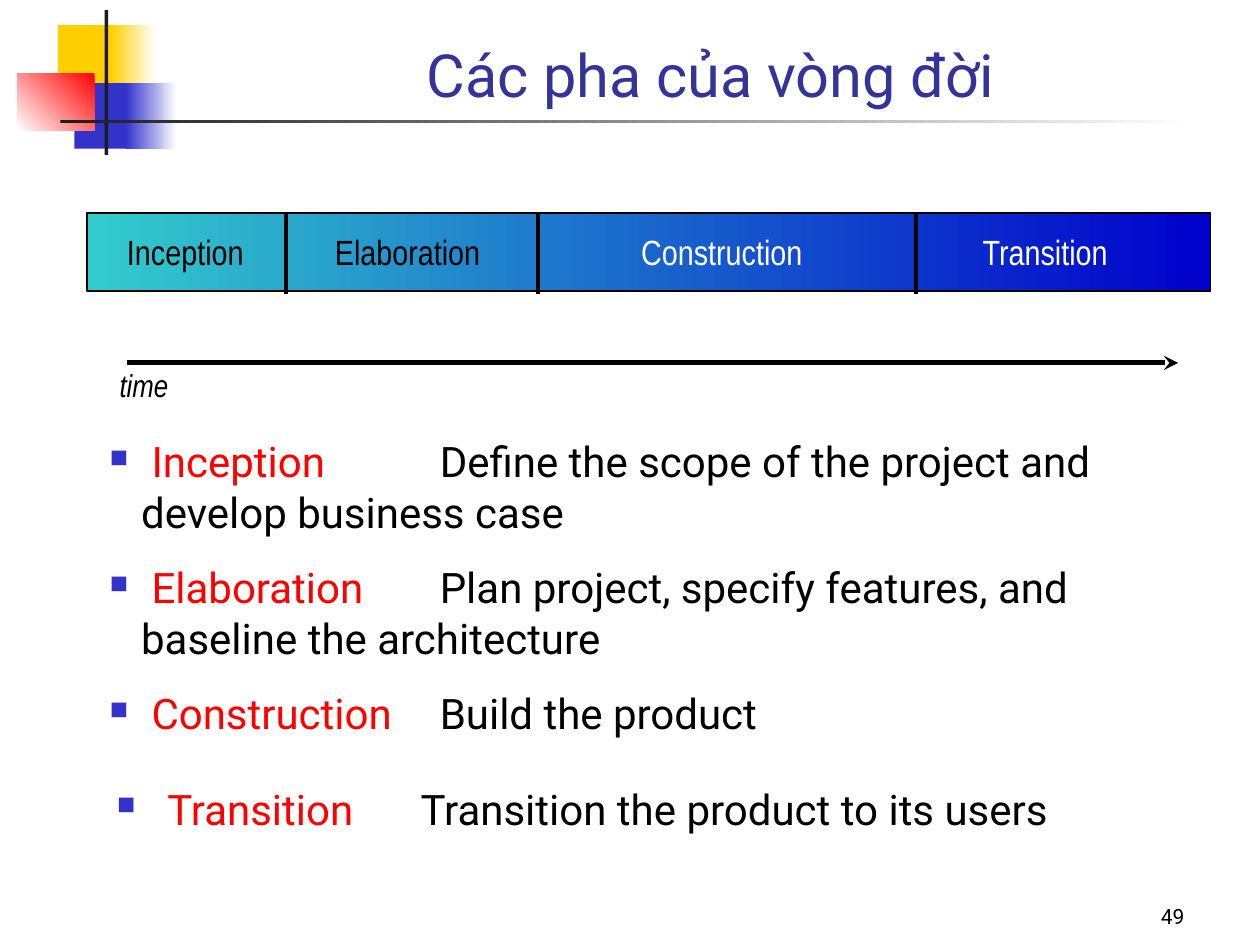
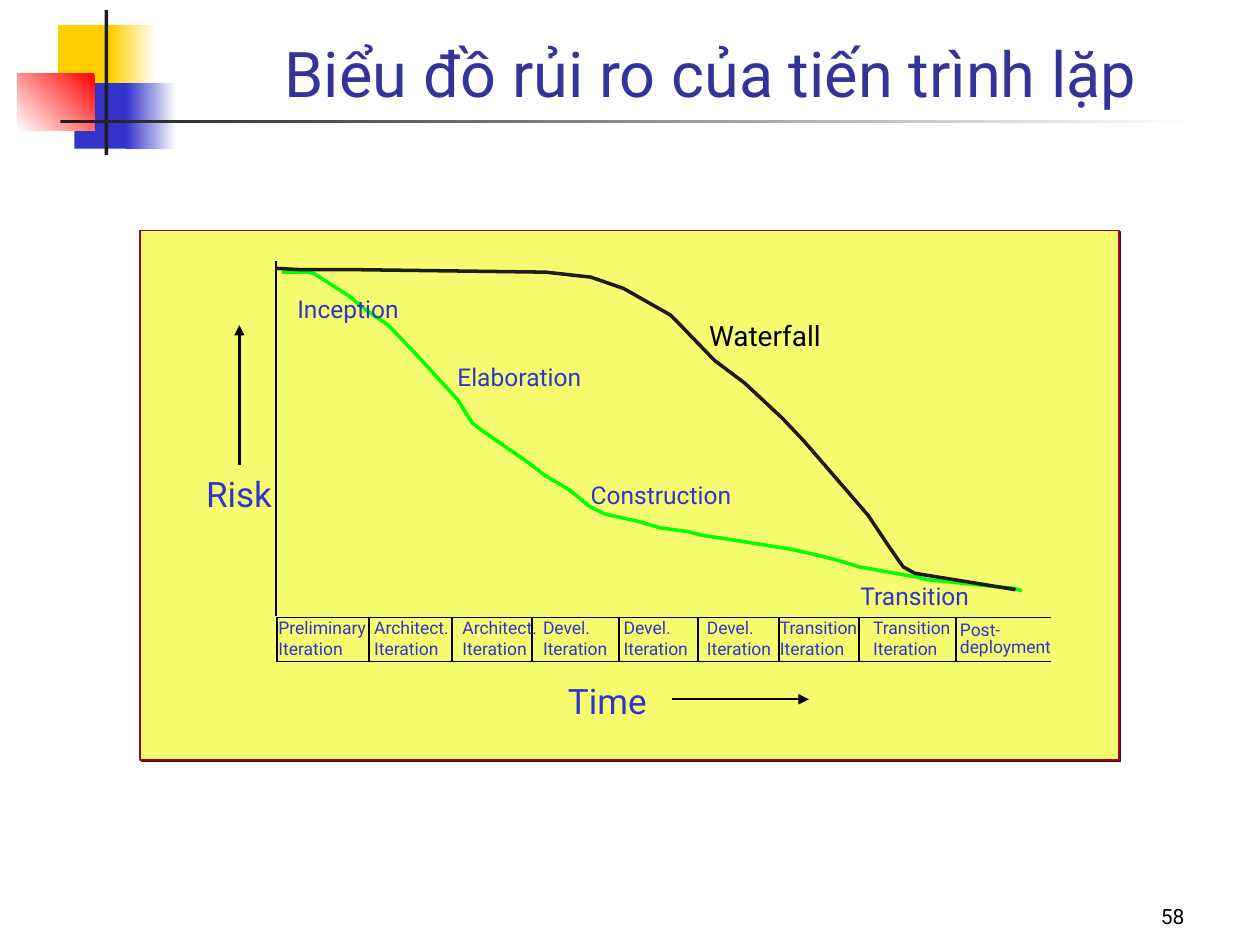
from lxml.etree import SubElement
from pptx import Presentation
from pptx.dml.color import RGBColor
from pptx.enum.shapes import MSO_CONNECTOR, MSO_SHAPE
from pptx.enum.text import MSO_ANCHOR, MSO_AUTO_SIZE, PP_ALIGN
from pptx.oxml.ns import qn
from pptx.util import Inches, Pt

BODY_FONT = "Roboto"
BAR_FONT = "Arial Narrow"
BLACK = "000000"
WHITE = "FFFFFF"
CHARCOAL = "1C1C1C"
BLUE = "3333CC"
TITLE_BLUE = "333399"
RED = "FF0000"
YELLOW = "FFCF01"
GREEN = "00FF00"

PHASES = [  # name, right edge in the bar, label left, label width, label colour
    ("Inception", 1.58, 0.22, 1.13, BLACK),
    ("Elaboration", 3.58, 1.87, 1.36, BLACK),
    ("Construction", 6.58, 4.30, 1.48, WHITE),
    ("Transition", 8.92, 7.01, 1.20, WHITE),
]
DESCRIPTIONS = [
    (" Inception", "Define the scope of the project and develop business case"),
    (" Elaboration", "Plan project, specify features, and baseline the architecture"),
    (" Construction", "Build the product"),
]
ITERATIONS = [  # name, right edge in the strip, label left, label width
    ("Preliminary", 0.73, -0.06, 0.88),
    ("Architect.", 1.39, 0.70, 0.75),
    ("Architect.", 2.02, 1.40, 0.75),
    ("Devel.", 2.71, 2.04, 0.70),
    ("Devel.", 3.34, 2.68, 0.70),
    ("Devel.", 3.98, 3.34, 0.70),
    ("Transition", 4.62, 3.92, 0.79),
    ("Transition", 5.39, 4.66, 0.79),
]
ITERATIVE_RISK = [
    (0.05, 0.09), (0.25, 0.09), (0.30, 0.10), (0.58, 0.28), (0.70, 0.38),
    (0.80, 0.45), (0.89, 0.51), (1.11, 0.74), (1.44, 1.10), (1.56, 1.29),
    (1.64, 1.35), (2.00, 1.60), (2.13, 1.70), (2.33, 1.82), (2.49, 1.95),
    (2.61, 2.01), (2.88, 2.07), (3.05, 2.12), (3.27, 2.15), (3.39, 2.18),
    (3.59, 2.21), (4.09, 2.29), (4.31, 2.34), (4.47, 2.38), (4.63, 2.43),
    (5.08, 2.51), (5.17, 2.53), (5.74, 2.59), (5.86, 2.60), (5.92, 2.62),
]
WATERFALL_RISK = [
    (0.00, 0.06), (0.19, 0.07), (0.60, 0.07), (2.14, 0.09), (2.50, 0.13),
    (2.76, 0.22), (3.13, 0.43), (3.22, 0.52), (3.48, 0.79), (3.72, 0.97),
    (4.02, 1.25), (4.19, 1.43), (4.51, 1.80), (4.70, 2.02), (4.84, 2.23),
    (4.95, 2.39), (4.98, 2.43), (5.07, 2.48), (5.87, 2.61),
]


def rgb(value):
    return RGBColor.from_string(value)


def add_text(slide, box, lines, size, color=BLACK, font=BODY_FONT, italic=False,
             align=PP_ALIGN.LEFT, anchor=MSO_ANCHOR.TOP, wrap=False,
             insets=(0.1, 0.05), line_spacing=None):
    """Each line is a string or a list of (text, colour) runs."""
    shape = slide.shapes.add_textbox(*map(Inches, box))
    frame = shape.text_frame
    frame.word_wrap = wrap
    frame.auto_size = MSO_AUTO_SIZE.NONE if wrap else MSO_AUTO_SIZE.SHAPE_TO_FIT_TEXT
    frame.vertical_anchor = anchor
    frame.margin_left = frame.margin_right = Inches(insets[0])
    frame.margin_top = frame.margin_bottom = Inches(insets[1])
    for index, line in enumerate(lines):
        paragraph = frame.add_paragraph() if index else frame.paragraphs[0]
        paragraph.alignment = align
        if line_spacing:
            paragraph.line_spacing = line_spacing
        for text, run_color in [(line, color)] if isinstance(line, str) else line:
            run = paragraph.add_run()
            run.text = text
            run.font.name = font
            run.font.size = Pt(size)
            run.font.italic = italic
            run.font.color.rgb = rgb(run_color)
    return shape


def add_box(slide, box, fill=None, line=None, width=1, angle=0):
    """A fill given as a pair of colours becomes a gradient."""
    shape = slide.shapes.add_shape(MSO_SHAPE.RECTANGLE, *map(Inches, box))
    shape.shadow.inherit = False
    if fill is None:
        shape.fill.background()
    elif isinstance(fill, str):
        shape.fill.solid()
        shape.fill.fore_color.rgb = rgb(fill)
    else:
        shape.fill.gradient()
        shape.fill.gradient_angle = angle
        for stop, color, position in zip(shape.fill.gradient_stops, fill, (0, 1)):
            stop.color.rgb = rgb(color)
            stop.position = position
    if line:
        shape.line.color.rgb = rgb(line)
        shape.line.width = Pt(width)
    else:
        shape.line.fill.background()
    return shape


def add_line(slide, x1, y1, x2, y2, width=1, arrow=None):
    connector = slide.shapes.add_connector(
        MSO_CONNECTOR.STRAIGHT, *map(Inches, (x1, y1, x2, y2)))
    connector.line.color.rgb = rgb(BLACK)
    connector.line.width = Pt(width)
    if arrow:
        SubElement(connector.line._get_or_add_ln(), qn("a:tailEnd"), type=arrow)
    SubElement(connector._element.spPr, qn("a:effectLst"))


def add_curve(slide, left, top, points, color):
    places = [(Inches(left + x), Inches(top + y)) for x, y in points]
    builder = slide.shapes.build_freeform(*places[0])
    builder.add_line_segments(places[1:], close=False)
    shape = builder.convert_to_shape()
    shape.shadow.inherit = False
    shape.fill.background()
    shape.line.color.rgb = rgb(color)
    shape.line.width = Pt(2)


def add_hard_shadow(shape):
    effects = shape._element.spPr.find(qn("a:effectLst"))
    shadow = SubElement(effects, qn("a:outerShdw"), dist=str(Pt(1.4)),
                        dir="2700000", algn="ctr", rotWithShape="0")
    SubElement(shadow, qn("a:srgbClr"), val=CHARCOAL)


def set_bullet(paragraph, indent, tab):
    properties = paragraph._p.get_or_add_pPr()
    properties.set("marL", str(Inches(indent)))
    properties.set("indent", str(-Inches(indent)))
    SubElement(SubElement(properties, qn("a:buClr")), qn("a:srgbClr"), val=BLUE)
    SubElement(properties, qn("a:buSzPct"), val="60000")
    SubElement(properties, qn("a:buChar"), char="■")
    SubElement(SubElement(properties, qn("a:tabLst")), qn("a:tab"),
               pos=str(Inches(tab)), algn="l")


def add_corner_ornament(slide, left, top):
    for x, y, width, height, fill, angle in [
        (0.32, 0.12, 0.48, 0.52, YELLOW, 0),
        (0.74, 0.12, 0.36, 0.52, (YELLOW, WHITE), 0),
        (0.45, 0.58, 0.46, 0.52, BLUE, 0),
        (0.86, 0.58, 0.40, 0.52, (BLUE, WHITE), 0),
        (0.00, 0.50, 0.61, 0.46, (RED, WHITE), 225),
        (0.69, 0.00, 0.03, 1.15, CHARCOAL, 0),
        (0.34, 0.87, 9.00, 0.03, (CHARCOAL, WHITE), 0),
    ]:
        add_box(slide, (left + x, top + y, width, height), fill, angle=angle)


def start_slide(presentation, title, title_size, number):
    slide = presentation.slides.add_slide(presentation.slide_layouts[6])
    add_corner_ornament(slide, 0.14, 0.08)
    add_text(slide, (1.5, 0.08, 8.28, 0.84), [title], title_size, TITLE_BLUE,
             align=PP_ALIGN.CENTER, anchor=MSO_ANCHOR.BOTTOM, wrap=True)
    add_text(slide, (7.42, 6.92, 2.08, 0.5), [number], 12,
             align=PP_ALIGN.RIGHT, anchor=MSO_ANCHOR.BOTTOM, wrap=True)
    return slide


def add_phase_bar(slide, left, top, width, height):
    bar = (left, top, width, height)
    add_box(slide, bar, ("33CCCC", "0000CC"))
    add_box(slide, bar, line=BLACK, width=0.75)
    for name, edge, label_left, label_width, color in PHASES:
        if edge < width:
            add_line(slide, left + edge, top, left + edge, top + height + 0.02, 2)
        add_text(slide, (left + label_left, top + 0.09, label_width, 0.43),
                 [name], 20, color, BAR_FONT)


def add_time_arrow(slide, left, top, length):
    add_line(slide, left, top, left + length, top, 2.75, "stealth")
    add_text(slide, (left - 0.16, top - 0.02, 0.59, 0.4), ["time"], 18,
             font=BAR_FONT, italic=True)


def add_description(slide, box, phase, meaning, indent, tab, insets):
    shape = add_text(slide, box, [[(phase + "\t", RED), (meaning, BLACK)]], 24,
                     wrap=True, insets=insets)
    set_bullet(shape.text_frame.paragraphs[0], indent, tab)


def add_descriptions(slide, left, top, width):
    for row, (phase, meaning) in enumerate(DESCRIPTIONS):
        add_description(slide, (left, top + row, width, 1.1), phase, meaning,
                        0.25, 2.62, (0.12, 0.06))
    add_description(slide, (left + 0.08, top + 2.77, 7.85, 0.9), "Transition",
                    "Transition the product to its users", 0.4, 2.41, (0.1, 0.05))


def add_iteration_strip(slide, left, top, width, height):
    add_box(slide, (left, top, width, height), line=BLACK)
    for name, edge, label_left, label_width in ITERATIONS:
        if edge < width:
            add_line(slide, left + edge, top, left + edge, top + height)
        add_text(slide, (left + label_left, top - 0.03, label_width, 0.4),
                 [name, "Iteration"], 10, BLUE, insets=(0.07, 0.03))
    for y in (top, top + height):
        add_line(slide, left + width, y, left + width + 0.75, y)
    add_text(slide, (left + 5.32, top, 0.98, 0.36), ["Post-", "deployment"], 10,
             BLUE, line_spacing=0.8)


def add_risk_plot(slide, left, top):
    add_line(slide, left, top, left, top + 2.82)
    add_curve(slide, left, top, ITERATIVE_RISK, GREEN)
    add_curve(slide, left, top, WATERFALL_RISK, CHARCOAL)
    for name, x, y, width, height, size, color, insets in [
        ("Inception", 0.09, 0.22, 1.02, 0.31, 14, BLUE, (0.08, 0.04)),
        ("Elaboration", 1.36, 0.76, 1.21, 0.31, 14, BLUE, (0.08, 0.04)),
        ("Construction", 2.40, 1.69, 1.37, 0.33, 14, BLUE, (0.1, 0.05)),
        ("Transition", 4.54, 2.49, 1.08, 0.33, 14, BLUE, (0.1, 0.05)),
        ("Waterfall", 3.34, 0.41, 1.14, 0.36, 16, BLACK, (0.1, 0.05)),
    ]:
        add_text(slide, (left + x, top + y, width, height), [name], size, color,
                 insets=insets)


def add_risk_panel(slide, left, top, width, height):
    panel = add_box(slide, (left, top, width, height), "F5FC70", "A50021")
    add_hard_shadow(panel)
    add_risk_plot(slide, left + 1.08, top + 0.24)
    add_iteration_strip(slide, left + 1.09, top + 3.07, 5.39, 0.35)
    add_text(slide, (left + 0.25, top + 1.78, 1.07, 0.6), ["Risk"], 20, BLUE,
             align=PP_ALIGN.RIGHT, insets=(0.27, 0.14))
    add_line(slide, left + 0.79, top + 1.86, left + 0.79, top + 0.75, 1.5, "triangle")
    add_text(slide, (left + 3.3, top + 3.51, 0.84, 0.43), ["Time"], 20, BLUE)
    add_line(slide, left + 4.22, top + 3.72, left + 5.31, top + 3.72, 1, "triangle")


def build_phases_slide(presentation):
    slide = start_slide(presentation, "Các pha của vòng đời", 34, "49")
    add_phase_bar(slide, 0.69, 1.69, 8.92, 0.62)
    add_time_arrow(slide, 1.01, 2.88, 8.34)
    add_descriptions(slide, 0.75, 3.4, 8.92)


def build_risk_slide(presentation):
    slide = start_slide(presentation, "Biểu đồ rủi ro của tiến trình lặp", 36, "58")
    add_risk_panel(slide, 1.11, 1.83, 7.77, 4.2)


def main():
    presentation = Presentation()
    presentation.slide_width = Inches(10)
    presentation.slide_height = Inches(7.5)
    build_phases_slide(presentation)
    build_risk_slide(presentation)
    presentation.save("out.pptx")


if __name__ == "__main__":
    main()
